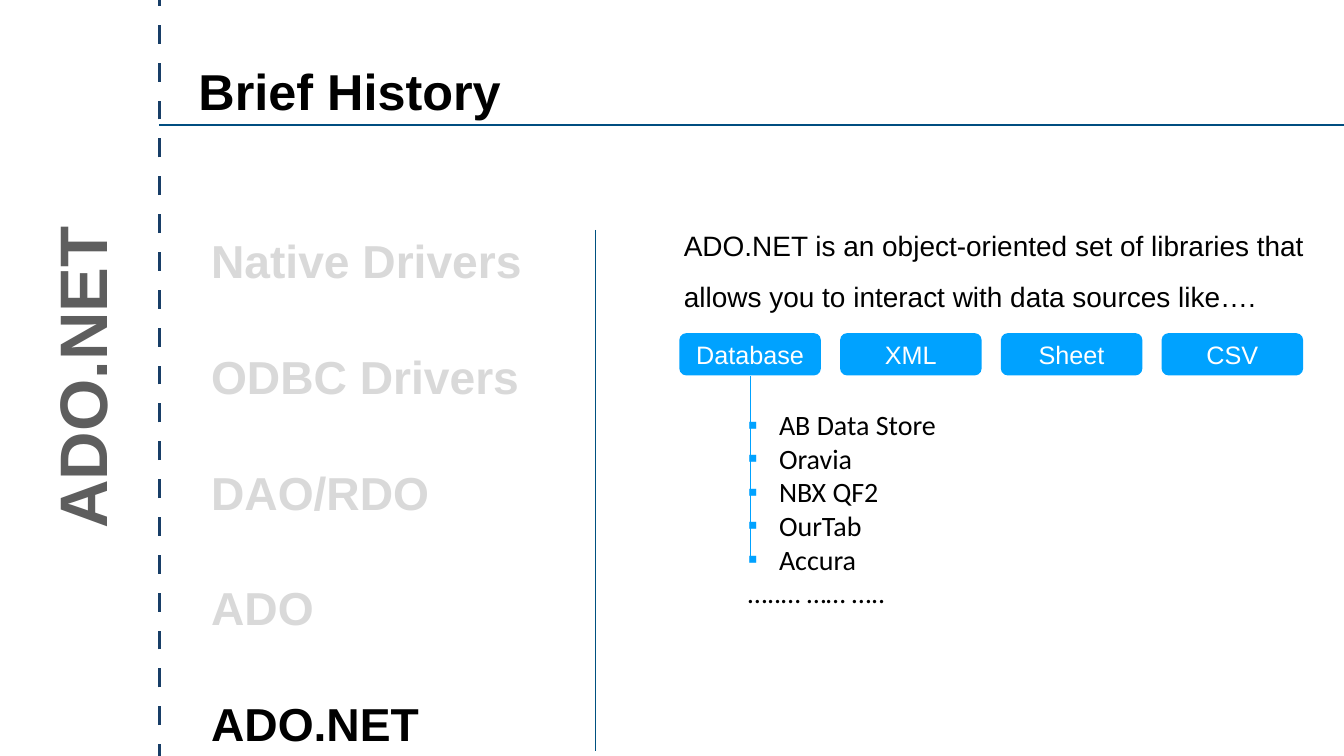
from pptx import Presentation
from pptx.dml.color import RGBColor as Rgb
from pptx.enum.shapes import MSO_CONNECTOR as Link, MSO_SHAPE as Shape
from pptx.enum.text import MSO_ANCHOR as Anchor, MSO_AUTO_SIZE as Fit, PP_ALIGN as Align
from pptx.oxml.ns import qn
from pptx.util import Inches, Pt
from lxml.etree import SubElement as Sub


class Theme:
    font, list_font = "Arial", "Calibri"
    black, white, gray, pale = "000000", "FFFFFF", "5E5E5E", "D9D9D9"
    navy, rule, split, blue = "183E67", "004D80", "005180", "00A2FF"
    side, title, step, body, tag = 96, 72, 66, 40, 36
    pad = 0.08


def write(frame, rows, size, color=Theme.black, font=Theme.font, bold=False, align=Align.LEFT,
          anchor=Anchor.TOP, wrap=True, pad=Theme.pad, lead=None, gap=None, last=None):
    """Fill a text frame, one paragraph a row; last colours the final row."""
    frame.word_wrap = wrap
    frame.auto_size = Fit.SHAPE_TO_FIT_TEXT
    frame.vertical_anchor = anchor
    if pad is not None:
        frame.margin_left = frame.margin_right = Inches(pad)
        frame.margin_top = frame.margin_bottom = Inches(pad)
    for i, row in enumerate(rows):
        para = frame.add_paragraph() if i else frame.paragraphs[0]
        para.alignment = align
        if lead:
            para.line_spacing = lead
        if gap:
            para.space_before = Pt(gap)
        run = para.add_run()
        run.text = row
        run.font.name, run.font.size, run.font.bold = font, Pt(size), bold
        tint = last if last and i == len(rows) - 1 else color
        run.font.color.rgb = Rgb.from_string(tint)


def mark(para, color, dent=0.62):
    """Give a paragraph a square bullet and a hanging indent."""
    props = para._p.get_or_add_pPr()
    props.set("marL", str(Inches(dent)))
    props.set("indent", str(-Inches(dent)))
    Sub(Sub(props, qn("a:buClr")), qn("a:srgbClr")).set("val", color)
    Sub(props, qn("a:buFont")).set("typeface", Theme.font)
    Sub(props, qn("a:buChar")).set("char", "▪")


class Page:
    def __init__(self, slide, theme):
        self.shapes, self.theme = slide.shapes, theme

    def line(self, x1, y1, x2, y2, color, width=2, dash=None):
        """Draw a line; dash is the dash and gap length in line widths."""
        line = self.shapes.add_connector(Link.STRAIGHT, *map(Inches, (x1, y1, x2, y2)))
        line.line.color.rgb = Rgb.from_string(color)
        line.line.width = Pt(width)
        if dash:
            stop = Sub(Sub(line.line._get_or_add_ln(), qn("a:custDash")), qn("a:ds"))
            stop.set("d", str(dash * 100000))
            stop.set("sp", str(dash * 100000))
        Sub(line._element.spPr, qn("a:effectLst"))

    def text(self, x, y, w, h, rows, size, turn=0, **form):
        box = self.shapes.add_textbox(*map(Inches, (x, y, w, h)))
        box.rotation = turn
        write(box.text_frame, rows, size, **form)
        return box.text_frame

    def tag(self, x, y, w, h, label):
        t = self.theme
        box = self.shapes.add_shape(Shape.ROUNDED_RECTANGLE, *map(Inches, (x, y, w, h)))
        box.shadow.inherit = False
        box.fill.solid()
        box.fill.fore_color.rgb = Rgb.from_string(t.blue)
        box.line.fill.background()
        write(box.text_frame, [label], t.tag, color=t.white,
              align=Align.CENTER, anchor=Anchor.MIDDLE)


def main():
    deck = Presentation()
    deck.slide_width, deck.slide_height = Inches(26.67), Inches(15)
    t = Theme
    page = Page(deck.slides.add_slide(deck.slide_layouts[6]), t)

    page.line(3.16, 15.14, 3.16, -0.14, t.navy, 4.5, dash=6)
    page.line(3.16, 2.48, 26.67, 2.48, t.rule)
    page.text(-1.52, 6.61, 6.22, 1.77, ["ADO.NET"], t.side, turn=270, color=t.gray, bold=True,
              align=Align.CENTER, anchor=Anchor.MIDDLE, wrap=False)
    page.text(3.84, 1.14, 6.26, 1.31, ["Brief History"], t.title, bold=True, wrap=False, pad=None)

    steps = ["Native Drivers", "ODBC Drivers", "DAO/RDO", "ADO", "ADO.NET"]
    page.text(4.09, 3.46, 6.43, 11.6, steps, t.step, color=t.pale, last=t.black, bold=True,
              wrap=False, pad=None, lead=2.0, gap=7)
    page.line(11.82, 4.56, 11.82, 14.91, t.split)

    intro = ("ADO.NET is an object-oriented set of libraries that "
             "allows you to interact with data sources like….")
    page.text(13.49, 4.13, 13.18, 2.18, [intro], t.body, lead=1.5)
    for i, label in enumerate(["Database", "XML", "Sheet", "CSV"]):
        page.tag(13.48 + i * 3.19, 6.61, 2.81, 0.84, label)

    page.line(14.89, 7.46, 14.89, 11.03, t.blue)
    stores = ["AB Data Store", "Oravia", "NBX QF2", "OurTab", "Accura"]
    frame = page.text(14.76, 7.99, 6.36, 4.2, stores + ["…..… …… ….."], t.body,
                      font=t.list_font, anchor=Anchor.MIDDLE)
    for para in frame.paragraphs[:len(stores)]:
        mark(para, t.blue)

    deck.save("out.pptx")


if __name__ == "__main__":
    main()
